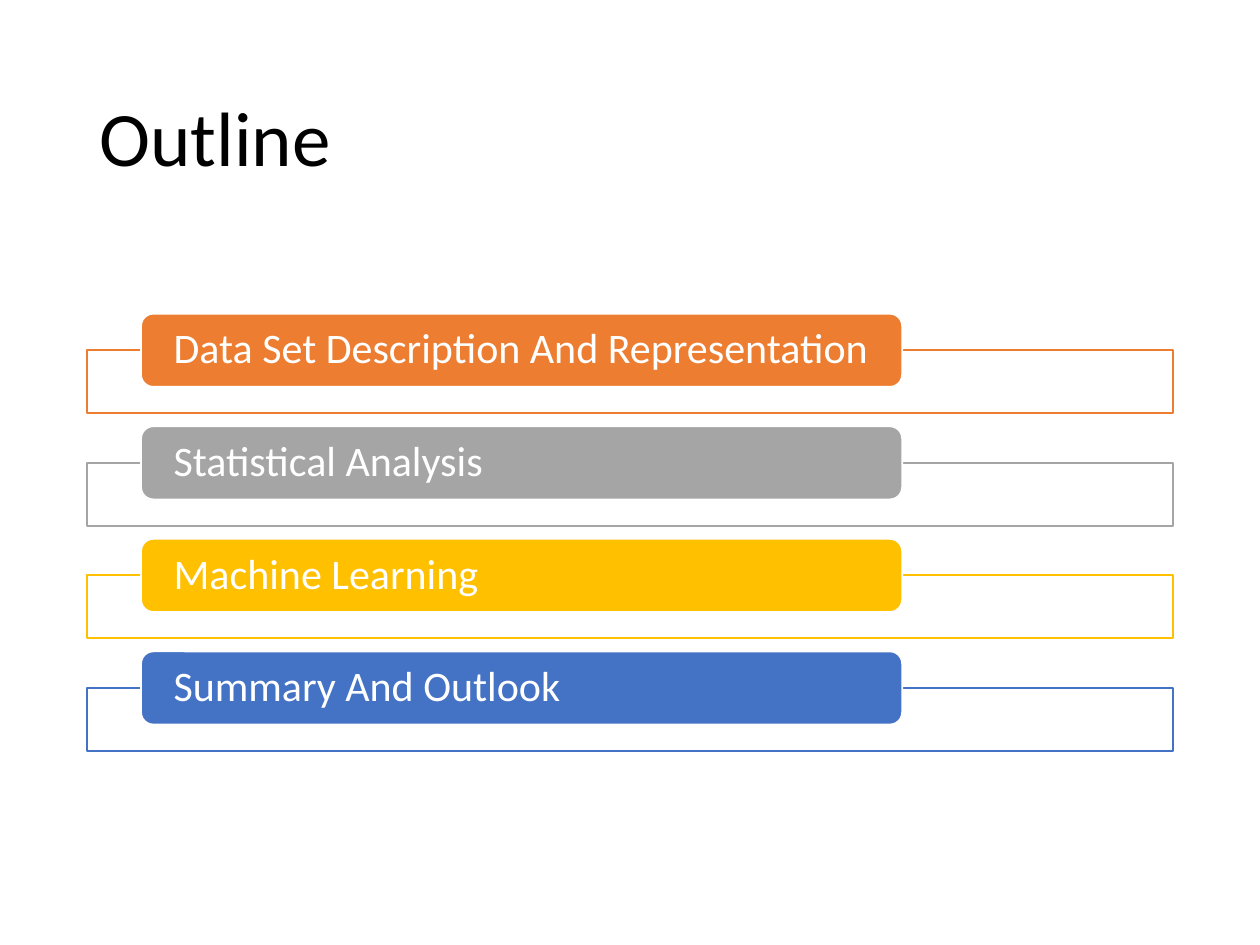
from lxml import etree
from pptx import Presentation
from pptx.dml.color import RGBColor
from pptx.enum.shapes import MSO_SHAPE
from pptx.enum.text import MSO_ANCHOR, PP_ALIGN
from pptx.oxml.ns import qn
from pptx.util import Inches, Pt

RECTANGLE = MSO_SHAPE.RECTANGLE
ROUNDED = MSO_SHAPE.ROUNDED_RECTANGLE
MIDDLE = MSO_ANCHOR.MIDDLE
LEFT = PP_ALIGN.LEFT

COLORS = {
    "black": "000000",
    "white": "FFFFFF",
    "orange": "ED7D31",
    "gray": "A5A5A5",
    "gold": "FFC000",
    "blue": "4472C4",
}
TOPICS = [
    ("Data Set Description And Representation", "orange"),
    ("Statistical Analysis", "gray"),
    ("Machine Learning", "gold"),
    ("Summary And Outlook", "blue"),
]


def rgb(color):
    return RGBColor.from_string(COLORS[color])


def write_text(frame, text, *, font, size, color, inset, inset_y=0.0):
    """Write one left-aligned, vertically centred paragraph."""
    frame.word_wrap = True
    frame.vertical_anchor = MIDDLE
    frame.margin_left = frame.margin_right = Inches(inset)
    frame.margin_top = frame.margin_bottom = Inches(inset_y)
    paragraph = frame.paragraphs[0]
    paragraph.alignment = LEFT
    paragraph.line_spacing = 0.9
    run = paragraph.add_run()
    run.text = text
    run.font.name = font
    run.font.size = Pt(size)
    run.font.color.rgb = rgb(color)


class OutlineSlide:
    font = "Calibri"
    title_size = 44
    topic_size = 24
    line_width = 1

    def __init__(self, slide):
        self.slide = slide

    def title(self, text, left, top, width, height):
        box = self.slide.shapes.add_textbox(
            Inches(left), Inches(top), Inches(width), Inches(height))
        write_text(box.text_frame, text, font=self.font, size=self.title_size,
                   color="black", inset=0.1, inset_y=0.05)

    def box(self, kind, left, top, width, height, fill, line):
        shape = self.slide.shapes.add_shape(
            kind, Inches(left), Inches(top), Inches(width), Inches(height))
        shape.shadow.inherit = False
        shape.fill.solid()
        shape.fill.fore_color.rgb = rgb(fill)
        shape.line.color.rgb = rgb(line)
        shape.line.width = Pt(self.line_width)
        return shape

    def frame(self, left, top, width, height, color):
        frame = self.box(RECTANGLE, left, top, width, height, "white", color)
        fill_color = frame.fill._xPr.find(qn("a:solidFill"))[0]
        etree.SubElement(fill_color, qn("a:alpha"), val="90000")

    def label(self, text, left, top, width, height, color):
        label = self.box(ROUNDED, left, top, width, height, color, "white")
        write_text(label.text_frame, text, font=self.font,
                   size=self.topic_size, color="white", inset=0.23)


def main():
    prs = Presentation()
    prs.slide_width, prs.slide_height = Inches(10), Inches(7.5)
    outline = OutlineSlide(prs.slides.add_slide(prs.slide_layouts[6]))

    # Heading
    left, width = 0.69, 8.62
    outline.title("Outline", left, 0.4, width, 1.45)

    # Topics: each label overlaps the top edge of its frame
    first_top, last_top = 2.78, 5.46
    pitch = (last_top - first_top) / (len(TOPICS) - 1)
    for index, (topic, color) in enumerate(TOPICS):
        top = first_top + index * pitch
        outline.frame(left, top, width, 0.5, color)
        outline.label(topic, left + 0.43, top - 0.29, 6.04, 0.58, color)

    prs.save("out.pptx")


if __name__ == "__main__":
    main()
